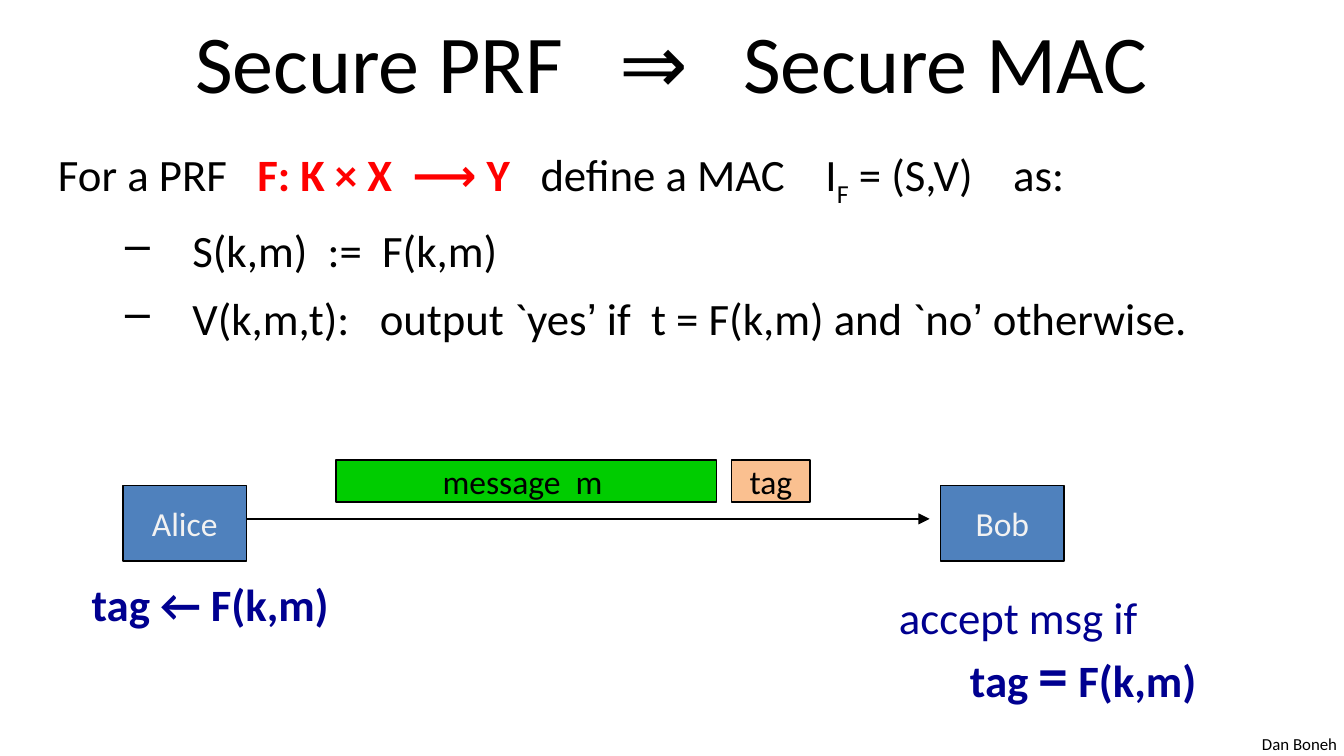
from lxml.etree import SubElement
from pptx import Presentation
from pptx.dml.color import RGBColor
from pptx.enum.shapes import MSO_CONNECTOR, MSO_SHAPE
from pptx.enum.text import MSO_ANCHOR, PP_ALIGN
from pptx.oxml.ns import qn
from pptx.util import Pt

HUES = {"black": "000000", "red": "FF0000", "navy": "000090", "pale": "F2F2F2",
        "blue": "4F81BD", "green": "00CC00", "peach": "FAC090"}


class Deck:
    """Hold the style and the current slide, and draw each kind of element."""

    def __init__(self, wide, high):
        self.prs = Presentation()
        self.prs.slide_width, self.prs.slide_height = Pt(wide), Pt(high)
        self.slide = self.prs.slides.add_slide(self.prs.slide_layouts[6])
        self.face = "Calibri"

    def hue(self, name):
        return RGBColor.from_string(HUES[name])

    def edge(self, line):
        line.color.rgb = self.hue("black")
        line.width = Pt(0.75)

    def fill_para(self, para, runs, base, form):
        for key, value in form.items():
            setattr(para, key, value)
        for text, own in runs:
            look = {"name": self.face, "color": "black", **base, **own}
            run = para.add_run()
            run.text = text
            run.font.color.rgb = self.hue(look.pop("color"))
            if "shift" in look:
                run._r.get_or_add_rPr().set("baseline", str(look.pop("shift")))
            for key, value in look.items():
                setattr(run.font, key, value)

    def indent(self, para, left, hang=0, mark=None):
        props = para._p.get_or_add_pPr()
        props.set("marL", str(Pt(left)))
        props.set("indent", str(Pt(hang)))
        if mark:
            SubElement(props, qn("a:buChar")).set("char", mark)

    def text(self, spot, paras, base, wrap=True, anchor=MSO_ANCHOR.TOP):
        frame = self.slide.shapes.add_textbox(*map(Pt, spot)).text_frame
        frame.word_wrap, frame.vertical_anchor = wrap, anchor
        for num, (runs, form) in enumerate(paras):
            para = frame.add_paragraph() if num else frame.paragraphs[0]
            self.fill_para(para, runs, base, form)
        return frame.paragraphs

    def box(self, spot, text, fill, color="black"):
        shape = self.slide.shapes.add_shape(MSO_SHAPE.RECTANGLE, *map(Pt, spot))
        shape.shadow.inherit = False
        shape.fill.solid()
        shape.fill.fore_color.rgb = self.hue(fill)
        self.edge(shape.line)
        frame = shape.text_frame
        frame.word_wrap, frame.vertical_anchor = False, MSO_ANCHOR.MIDDLE
        self.fill_para(frame.paragraphs[0], [(text, {})],
                       {"size": Pt(18), "color": color},
                       {"alignment": PP_ALIGN.CENTER})

    def arrow(self, *ends):
        wire = self.slide.shapes.add_connector(MSO_CONNECTOR.STRAIGHT, *map(Pt, ends))
        self.edge(wire.line)
        SubElement(wire.line._get_or_add_ln(), qn("a:tailEnd")).set("type", "triangle")
        SubElement(wire._element.spPr, qn("a:effectLst"))


def main():
    deck = Deck(720, 405)
    main_size = {"size": Pt(24)}
    navy = {**main_size, "color": "navy"}
    bold, quote = {"bold": True}, {"name": "Arial"}
    first = {"line_spacing": 1.1}
    step = {**first, "level": 1, "space_before": Pt(4.8)}

    deck.text((669, 389.5, 55, 18), [([("Dan Boneh", {})], {})],
              {"size": Pt(9)}, wrap=False)
    deck.text((36, -1.5, 648, 67.5),
              [([("Secure PRF   ⇒   Secure MAC", {})], {"alignment": PP_ALIGN.CENTER})],
              {"size": Pt(44)}, anchor=MSO_ANCHOR.MIDDLE)

    body = deck.text((24, 72, 684, 324), [
        ([("For a PRF   ", {}),
          ("F: K × X  ⟶ Y   ", {**bold, "color": "red"}),
          ("define a MAC    I", {}),
          ("F", {"shift": -25000}),
          (" = (S,V)    as:", {})], first),
        ([("S(k,m)  :=  F(k,m)", {})], step),
        ([("V(k,m,t):   output `yes", {}), ("’", quote),
          (" if  t = F(k,m) and `no", {}), ("’", quote),
          (" otherwise.", {})], step),
    ], main_size)
    for para in body[1:]:
        deck.indent(para, 72, -36, "–")

    for left, name in ((66, "Alice"), (504, "Bob")):
        deck.box((left, 260, 66, 40.5), name, "blue", "pale")
    deck.arrow(132, 278, 498, 278)
    deck.box((180, 246.5, 204, 22.5), "message  m ", "green")
    deck.box((392, 246.5, 42, 22.5), "tag", "peach")

    deck.text((42, 305.5, 174, 36), [([("tag ← F(k,m)", bold)], {})], navy)
    check = deck.text((474.5, 312.5, 176, 72), [
        ([("accept msg if", {})], {}),
        ([("tag ", bold), ("=", {**bold, "size": Pt(32)}), (" F(k,m)", bold)],
         {"line_spacing": Pt(35)}),
    ], navy, wrap=False)
    deck.indent(check[1], 38)

    deck.prs.save("out.pptx")


if __name__ == "__main__":
    main()
